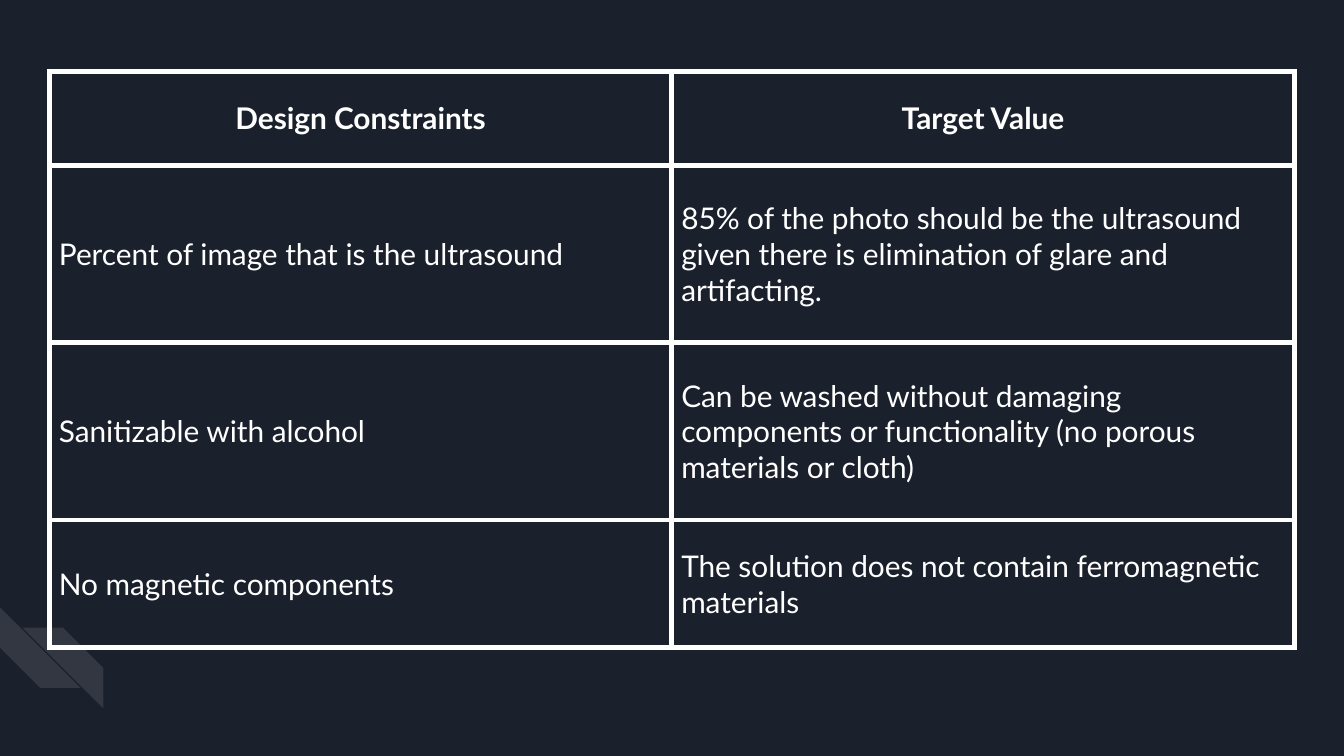
from lxml import etree
from pptx import Presentation
from pptx import util as u
from pptx.dml.color import RGBColor
from pptx.enum import shapes, text
from pptx.oxml import ns

NAVY = "1B212C"
WHITE = "FFFFFF"
FONT = "Lato"
COLUMN_WIDTH = 333.4
ROW_HEIGHTS = [50.4, 95, 95, 68.4]
INSET = 5
ROWS = [
    ("Design Constraints", "Target Value"),
    ("Percent of image that is the ultrasound",
     "85% of the photo should be the ultrasound given there is elimination "
     "of glare and artifacting."),
    ("Sanitizable with alcohol",
     "Can be washed without damaging components or functionality "
     "(no porous materials or cloth)"),
    ("No magnetic components",
     "The solution does not contain ferromagnetic materials"),
]


def set_fill(fill, color):
    fill.solid()
    fill.fore_color.rgb = RGBColor.from_string(color)


def add_element(parent, tag, **attributes):
    return etree.SubElement(parent, ns.qn(tag), attributes)


def add_stripe(page, left, top, rotation=0, mirrored=False):
    """Add a faint diagonal stripe."""
    stripe = page.shapes.add_shape(
        shapes.MSO_SHAPE.DIAGONAL_STRIPE,
        u.Pt(left), u.Pt(top), u.Pt(43.2), u.Pt(43.2))
    stripe.shadow.inherit = False
    stripe.rotation = rotation
    if mirrored:
        stripe._element.spPr.find(ns.qn("a:xfrm")).set("flipH", "1")
    set_fill(stripe.fill, WHITE)
    color = stripe._element.spPr.find(".//" + ns.qn("a:srgbClr"))
    add_element(color, "a:alpha", val="10000")
    stripe.line.fill.background()


def set_borders(cell, color, width):
    properties = cell._tc.get_or_add_tcPr()
    for side in ("L", "R", "T", "B"):
        line = add_element(properties, f"a:ln{side}", w=str(u.Pt(width)))
        fill = add_element(line, "a:solidFill")
        add_element(fill, "a:srgbClr", val=color)


def fill_cell(cell, words, header):
    set_borders(cell, WHITE, 3)
    cell.fill.background()
    cell.vertical_anchor = text.MSO_ANCHOR.MIDDLE
    cell.margin_left = cell.margin_right = u.Pt(INSET)
    cell.margin_top = cell.margin_bottom = u.Pt(INSET)
    para = cell.text_frame.paragraphs[0]
    para.alignment = text.PP_ALIGN.CENTER if header else text.PP_ALIGN.LEFT
    span = para.add_run()
    span.text = words
    span.font.name = FONT
    span.font.size = u.Pt(16)
    span.font.bold = header
    span.font.color.rgb = RGBColor.from_string(WHITE)


def add_constraints_table(page, left, top):
    columns = len(ROWS[0])
    table = page.shapes.add_table(
        len(ROWS), columns, u.Pt(left), u.Pt(top),
        u.Pt(COLUMN_WIDTH * columns), u.Pt(sum(ROW_HEIGHTS))).table
    table.horz_banding = False
    for column in table.columns:
        column.width = u.Pt(COLUMN_WIDTH)
    for row, height, entries in zip(table.rows, ROW_HEIGHTS, ROWS):
        row.height = u.Pt(height)
        for cell, words in zip(row.cells, entries):
            fill_cell(cell, words, header=entries is ROWS[0])


def main():
    deck = Presentation()
    deck.slide_width, deck.slide_height = u.Pt(720), u.Pt(405)
    page = deck.slides.add_slide(deck.slide_layouts[6])
    set_fill(page.background.fill, NAVY)

    # Corner decoration
    add_stripe(page, 0, 325.3, rotation=270)
    add_stripe(page, 12.2, 336.3, mirrored=True)

    # Constraints and their targets
    add_constraints_table(page, 26.6, 38.2)

    deck.save("out.pptx")


if __name__ == "__main__":
    main()
